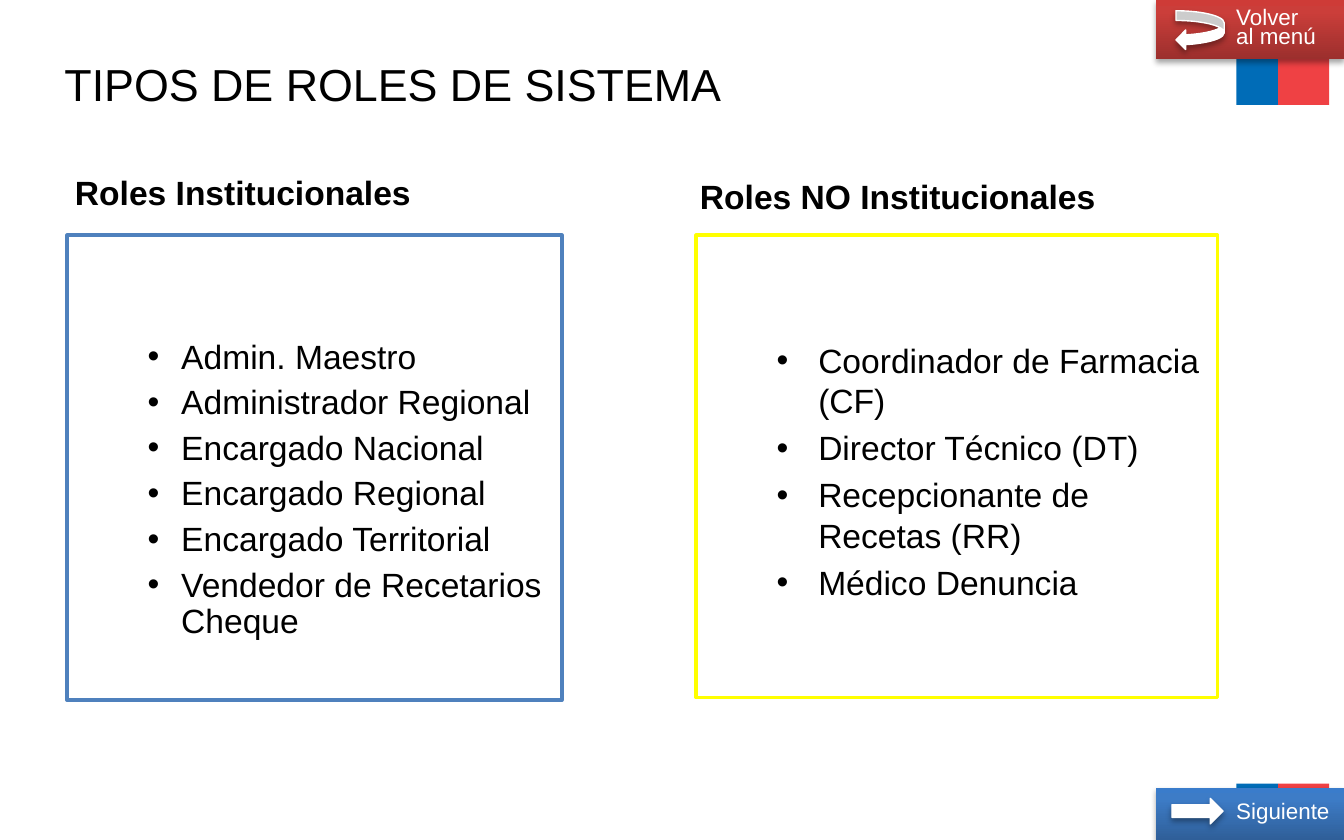
"""Build the slide that lists the institutional and non-institutional system roles."""
from lxml.etree import SubElement
from pptx import Presentation
from pptx.dml.color import RGBColor
from pptx.enum.shapes import MSO_SHAPE as Shape
from pptx.enum.text import MSO_ANCHOR as Anchor, PP_ALIGN as Align
from pptx.oxml.ns import qn
from pptx.util import Inches, Pt

presentation = Presentation()
presentation.slide_width = Inches(10)
presentation.slide_height = Inches(6.25)
slide = presentation.slides.add_slide(presentation.slide_layouts[6])

COLUMN = presentation.slide_width / 100
ROW = presentation.slide_height / 62.5
hex_color = RGBColor.from_string


def add_block(kind, place, fill=None, line=None, line_width=0.75, shadow=False):
    left, top, width, height = place
    shape = slide.shapes.add_shape(
        kind, int(left * COLUMN), int(top * ROW), int(width * COLUMN), int(height * ROW))
    shape.shadow.inherit = False
    if fill:
        shape.fill.solid()
        shape.fill.fore_color.rgb = hex_color(fill)
    if line:
        shape.line.color.rgb = hex_color(line)
        shape.line.width = Pt(line_width)
    else:
        shape.line.fill.background()
    if shadow:
        effects = shape._element.spPr.find(qn("a:effectLst"))
        outer = SubElement(effects, qn("a:outerShdw"), blurRad=str(Pt(3.1)), dist=str(Pt(1.8)),
                           dir="5400000", algn="ctr", rotWithShape="0")
        black = SubElement(outer, qn("a:srgbClr"), val="000000")
        SubElement(black, qn("a:alpha"), val="35000")
    return shape


def write(shape, lines, size, color="000000", bold=False, anchor=Anchor.TOP, spacing=1.0,
          before=0, indent=0, hanging=0):
    frame = shape.text_frame
    frame.word_wrap = True
    frame.vertical_anchor = anchor
    for number, text in enumerate(lines):
        paragraph = frame.add_paragraph() if number else frame.paragraphs[0]
        paragraph.alignment = Align.LEFT
        paragraph.line_spacing = spacing
        paragraph.space_before = Pt(before if number else 0)
        properties = paragraph._p.get_or_add_pPr()
        properties.set("marL", str(Inches(indent)))
        properties.set("indent", str(-Inches(hanging)))
        if hanging:
            SubElement(properties, qn("a:buFont"), typeface="Arial")
            SubElement(properties, qn("a:buChar"), char="•")
        run = paragraph.add_run()
        run.text = text
        run.font.name = "Arial"
        run.font.size = Pt(size)
        run.font.bold = bold
        run.font.color.rgb = hex_color(color)


for top, height in [(0, 7.8), (58.3, 4.2)]:
    add_block(Shape.RECTANGLE, (92, top, 3.1, height), "006CB7")
    add_block(Shape.RECTANGLE, (95.1, top, 3.8, height), "EF4144")

title = slide.shapes.add_textbox(
    int(4.8 * COLUMN), int(1.2 * ROW), int(69.3 * COLUMN), int(10.6 * ROW))
title.text_frame.margin_left = title.text_frame.margin_right = 0
title.text_frame.margin_top = title.text_frame.margin_bottom = 0
write(title, ["TIPOS DE ROLES DE SISTEMA"], 24, anchor=Anchor.MIDDLE, spacing=0.9)

institutional_roles = ["Admin. Maestro", "Administrador Regional", "Encargado Nacional",
                       "Encargado Regional", "Encargado Territorial",
                       "Vendedor de Recetarios Cheque"]
other_roles = ["Coordinador de Farmacia (CF)", "Director Técnico (DT)",
               "Recepcionante de Recetas (RR)", "Médico Denuncia"]
panels = [
    ("Roles Institucionales", (4.6, 12.3, 27.3, 4), (5, 17.5, 36.8, 34.6), "4F81BD",
     institutional_roles, 0.9, 5, 0.75, 0.25),
    ("Roles NO Institucionales", (51.1, 12.6, 31.8, 4), (51.8, 17.5, 38.8, 34.4), "FFFF00",
     other_roles, 1.0, 3.6, 0.81, 0.31),
]
for heading, heading_place, place, border, roles, spacing, before, indent, hanging in panels:
    panel = add_block(Shape.RECTANGLE, place, "FFFFFF", border, 2)
    panel.text_frame.margin_top = int(7.8 * ROW)
    write(panel, roles, 18, spacing=spacing, before=before, indent=indent, hanging=hanging)
    left, top, width, height = heading_place
    label = slide.shapes.add_textbox(
        int(left * COLUMN), int(top * ROW), int(width * COLUMN), int(height * ROW))
    write(label, [heading], 18, bold=True)

buttons = [
    (["Volver", "al menú"], (86, 0, 14, 4.4), ["9C2F2D", "CB3E3A", "CE3B37"],
     Shape.CURVED_LEFT_ARROW, (87.5, 0.8, 3.6, 2.9)),
    (["Siguiente"], (86, 58.6, 14, 3.9), ["2F5F99", "3D7CC7", "3A7CCB"],
     Shape.RIGHT_ARROW, (87.2, 59.4, 3.8, 1.9)),
]
for lines, place, colors, arrow, arrow_place in buttons:
    button = add_block(Shape.RECTANGLE, place, shadow=True)
    button.fill.gradient()
    button.fill.gradient_angle = 90
    stops = button._element.spPr.find(qn("a:gradFill")).find(qn("a:gsLst"))
    for stop in list(stops):
        stops.remove(stop)
    for share, color in zip((0, 80, 100), colors):
        stop = SubElement(stops, qn("a:gs"), pos=str(share * 1000))
        SubElement(stop, qn("a:srgbClr"), val=color)
    write(button, lines, 12, "FFFFFF", anchor=Anchor.MIDDLE, spacing=0.7, indent=0.5)
    add_block(arrow, arrow_place, "FFFFFF", "FFFFFF", shadow=True)

presentation.save("out.pptx")
